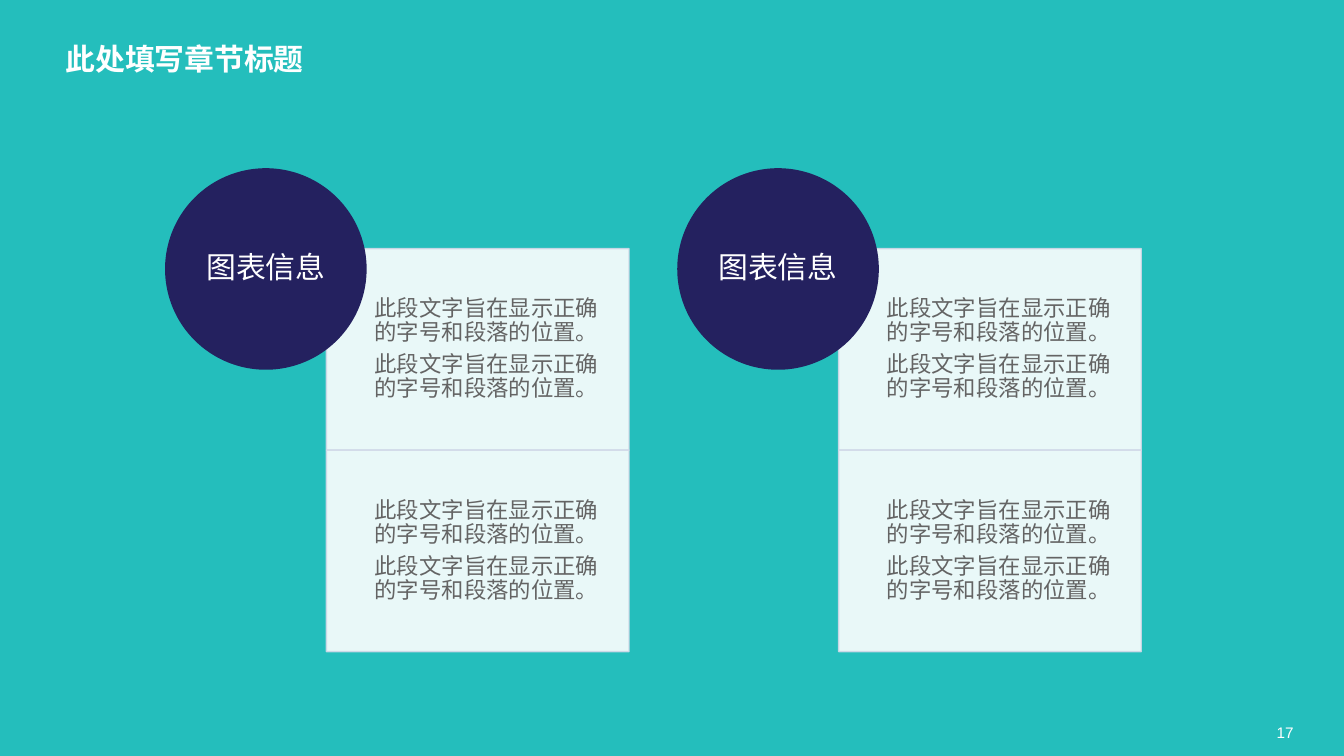
"""Build a section slide with two circle-headed columns of text cards."""
from pptx import Presentation
from pptx import util as u
from pptx.dml.color import RGBColor
from pptx.enum import shapes, text
from pptx.oxml import ns, xmlchemy

TITLE = "此处填写章节标题"
PAGE_NUMBER = "17"
SENTENCE = "此段文字旨在显示正确的字号和段落的位置。"
COLUMNS = [
    ("图表信息", [[SENTENCE, SENTENCE], [SENTENCE, SENTENCE]]),
    ("图表信息", [[SENTENCE, SENTENCE], [SENTENCE, SENTENCE]]),
]

TEAL = RGBColor(0x24, 0xBE, 0xBC)
NAVY = RGBColor(0x24, 0x21, 0x5F)
WHITE = RGBColor(0xFF, 0xFF, 0xFF)
BORDER = RGBColor(0xD0, 0xD8, 0xE8)
GREY = RGBColor(0x64, 0x64, 0x64)
CHINESE_FONT = "Noto Sans CJK SC"

LEFT, TOP, COLUMN_PITCH = 3.12, 3.18, 9.68
DIAMETER, LABEL_INSET = 3.81, 0.56
CARD_WIDTH, CARD_HEIGHT = 5.72, 3.81
CARD_SHIFT, CARD_DROP = 3.05, 1.52
TEXT_INDENT, CARD_MARGIN = 0.91, 0.23


def place(left, top, width, height):
    return [u.Cm(value) for value in (left, top, width, height)]


def fill_text(shape, lines, size, color, font=CHINESE_FONT, bold=False,
              align=text.PP_ALIGN.LEFT, anchor=text.MSO_ANCHOR.MIDDLE,
              margin=0, line_spacing=None, space_after=0):
    frame = shape.text_frame
    frame.word_wrap = True
    frame.auto_size = text.MSO_AUTO_SIZE.NONE
    frame.vertical_anchor = anchor
    frame.margin_left = 0
    frame.margin_top = frame.margin_right = frame.margin_bottom = u.Cm(margin)
    for index, line in enumerate(lines):
        paragraph = frame.add_paragraph() if index else frame.paragraphs[0]
        paragraph.alignment = align
        paragraph.line_spacing = line_spacing
        paragraph.space_after = u.Pt(space_after)
        run = paragraph.add_run()
        run.text = line
        run.font.size = u.Pt(size)
        run.font.bold = bold
        run.font.color.rgb = color
        run.font.name = font
        east_asian = xmlchemy.OxmlElement("a:ea")
        east_asian.set("typeface", font)
        run.font._element.append(east_asian)


def add_card(group, left, top, lines):
    card = group.shapes.add_shape(shapes.MSO_SHAPE.RECTANGLE,
                                  *place(left, top, CARD_WIDTH, CARD_HEIGHT))
    card.shadow.inherit = False
    card.fill.solid()
    card.fill.fore_color.rgb = WHITE
    card.line.color.rgb = BORDER
    card.line.width = u.Pt(0.75)
    for color in card._element.spPr.iter(ns.qn("a:srgbClr")):
        alpha = xmlchemy.OxmlElement("a:alpha")
        alpha.set("val", "90000")
        color.append(alpha)
    body = group.shapes.add_textbox(*place(
        left + TEXT_INDENT, top, CARD_WIDTH - TEXT_INDENT, CARD_HEIGHT))
    fill_text(body, lines, 12, GREY, margin=CARD_MARGIN,
              line_spacing=0.9, space_after=4.2)


def add_circle(group, left, label):
    circle = group.shapes.add_shape(shapes.MSO_SHAPE.OVAL,
                                    *place(left, TOP, DIAMETER, DIAMETER))
    circle.shadow.inherit = False
    circle.fill.solid()
    circle.fill.fore_color.rgb = NAVY
    circle.line.fill.background()
    side = DIAMETER - 2 * LABEL_INSET
    caption = group.shapes.add_textbox(*place(
        left + LABEL_INSET, TOP + LABEL_INSET, side, side))
    fill_text(caption, [label], 16, WHITE, align=text.PP_ALIGN.CENTER,
              line_spacing=0.9, space_after=5.6)


def main():
    presentation = Presentation()
    presentation.slide_width = u.Cm(25.4)
    presentation.slide_height = u.Cm(14.29)
    slide = presentation.slides.add_slide(presentation.slide_layouts[5])
    slide.background.fill.solid()
    slide.background.fill.fore_color.rgb = TEAL

    title = slide.shapes.title
    title.left, title.top, title.width, title.height = place(1.24, 0.76, 23.34, 1.63)
    fill_text(title, [TITLE], 16, WHITE, bold=True, anchor=text.MSO_ANCHOR.TOP)

    for column, (label, cards) in enumerate(COLUMNS):
        left = LEFT + column * COLUMN_PITCH
        group = slide.shapes.add_group_shape()
        for row, lines in enumerate(cards):
            add_card(group, left + CARD_SHIFT,
                     TOP + CARD_DROP + row * CARD_HEIGHT, lines)
        add_circle(group, left, label)

    number = slide.shapes.add_textbox(*place(24.13, 13.67, 1.27, 0.36))
    fill_text(number, [PAGE_NUMBER], 8.2, WHITE, font="Arial")
    presentation.save("out.pptx")


if __name__ == "__main__":
    main()
